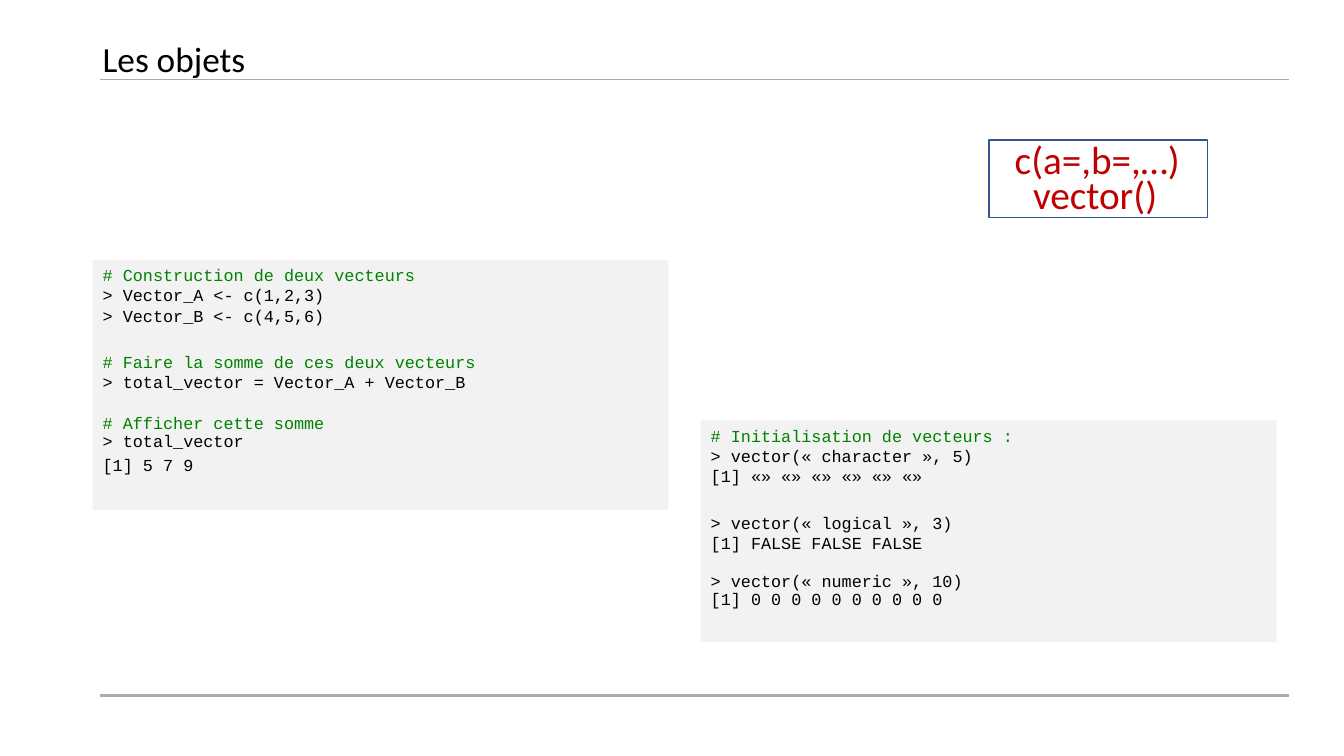
from dataclasses import dataclass

from lxml import etree
from pptx import Presentation
from pptx import util as u
from pptx.dml.color import RGBColor
from pptx.enum import shapes, text
from pptx.oxml.ns import qn


@dataclass(frozen=True)
class Theme:
    ink: str = "000000"
    comment: str = "008200"
    accent: str = "C00000"
    rule: str = "AFABAB"
    frame: str = "325491"
    panel: str = "F2F2F2"
    body_font: str = "Calibri"
    code_font: str = "Courier New"
    title_size: float = 25.2
    syntax_size: float = 28
    code_size: float = 12
    code_line: float = 14.4
    tight_line: float = 13


THEME = Theme()


@dataclass(frozen=True)
class Box:
    left: int
    top: int
    width: int
    height: int

    def percent(self, left, top, width, height):
        """Return an inner box given as percentages of this one."""
        return Box(round(self.left + left * self.width / 100),
                   round(self.top + top * self.height / 100),
                   round(width * self.width / 100),
                   round(height * self.height / 100))

    def edges(self):
        return self.left, self.top, self.width, self.height


def color(value):
    return RGBColor.from_string(value)


def add_rule(page, box, width):
    line = page.shapes.add_connector(
        shapes.MSO_CONNECTOR.STRAIGHT, box.left, box.top,
        box.left + box.width, box.top)
    line.line.color.rgb = color(THEME.rule)
    line.line.width = u.Pt(width)
    etree.SubElement(line._element.spPr, qn("a:effectLst"))


def add_panel(page, box, fill=None, outline=None):
    panel = page.shapes.add_shape(shapes.MSO_SHAPE.RECTANGLE, *box.edges())
    panel.shadow.inherit = False
    if fill:
        panel.fill.solid()
        panel.fill.fore_color.rgb = color(fill)
    else:
        panel.fill.background()
    if outline:
        panel.line.color.rgb = color(outline)
        panel.line.width = u.Pt(1)
    else:
        panel.line.fill.background()
    return panel


def write(para, words, font=THEME.body_font, size=THEME.code_size, ink=THEME.ink,
          align=text.PP_ALIGN.LEFT, spacing=None, before=0):
    para.alignment = align
    para.space_before = u.Pt(before)
    if spacing:
        para.line_spacing = spacing
    span = para.add_run()
    span.text = words
    span.font.name = font
    span.font.size = u.Pt(size)
    span.font.color.rgb = color(ink)


def add_label(page, box, words, anchor=text.MSO_ANCHOR.TOP, **look):
    frame = page.shapes.add_textbox(*box.edges()).text_frame
    frame.word_wrap = True
    frame.vertical_anchor = anchor
    write(frame.paragraphs[0], words, **look)


def add_header(page, box):
    """Title with the rules above and below the content."""
    add_rule(page, box.percent(7.43, 10.53, 88.5, 0), 1.25)
    add_rule(page, box.percent(7.43, 92, 88.5, 0), 1.5)
    add_label(page, box.percent(6.9, 5.33, 86.27, 5.6), "Les objets",
              anchor=text.MSO_ANCHOR.MIDDLE, size=THEME.title_size, spacing=0.9)


def add_syntax(page, box):
    """Framed reminder of the two functions."""
    add_panel(page, box, outline=THEME.frame)
    for words, left, top in (("c(a=,b=,…)", 3, -13), ("vector()", 2, 32)):
        add_label(page, box.percent(left, top, 93, 74), words,
                  size=THEME.syntax_size, ink=THEME.accent,
                  align=text.PP_ALIGN.CENTER)


def add_code(page, box, lines):
    """Grey panel of code; each line is (words, gap before, line height)."""
    frame = add_panel(page, box, fill=THEME.panel).text_frame
    frame.word_wrap = True
    frame.vertical_anchor = text.MSO_ANCHOR.TOP
    for index, (words, before, height) in enumerate(lines):
        para = frame.add_paragraph() if index else frame.paragraphs[0]
        write(para, words, font=THEME.code_font, before=before, spacing=u.Pt(height),
              ink=THEME.comment if words.startswith("#") else THEME.ink)


LINE, TIGHT = THEME.code_line, THEME.tight_line
WIDE_GAP, GAP, SMALL_GAP = 19, 14.4, 4.2

SUM_CODE = (
    ("# Construction de deux vecteurs", 0, LINE),
    ("> Vector_A <- c(1,2,3)", 0, LINE),
    ("> Vector_B <- c(4,5,6)", 0, LINE),
    ("# Faire la somme de ces deux vecteurs", WIDE_GAP, LINE),
    ("> total_vector = Vector_A + Vector_B", 0, LINE),
    ("# Afficher cette somme", GAP, LINE),
    ("> total_vector", 0, TIGHT),
    ("[1] 5 7 9", SMALL_GAP, TIGHT),
)
INIT_CODE = (
    ("# Initialisation de vecteurs :", 0, LINE),
    ("> vector(« character », 5)", 0, LINE),
    ("[1] «» «» «» «» «» «»", 0, LINE),
    ("> vector(« logical », 3)", WIDE_GAP, LINE),
    ("[1] FALSE FALSE FALSE", 0, LINE),
    ("> vector(« numeric », 10)", GAP, TIGHT),
    ("[1] 0 0 0 0 0 0 0 0 0 0", 0, TIGHT),
)


def main():
    deck = Presentation()
    deck.slide_width, deck.slide_height = u.Inches(13.33), u.Inches(7.5)
    page = deck.slides.add_slide(deck.slide_layouts[6])
    whole = Box(0, 0, deck.slide_width, deck.slide_height)

    add_header(page, whole)
    add_syntax(page, whole.percent(73.59, 18.53, 16.28, 10.27))
    add_code(page, whole.percent(6.9, 34.4, 42.84, 33.07), SUM_CODE)
    add_code(page, whole.percent(52.14, 55.6, 42.84, 29.33), INIT_CODE)
    deck.save("out.pptx")


if __name__ == "__main__":
    main()
